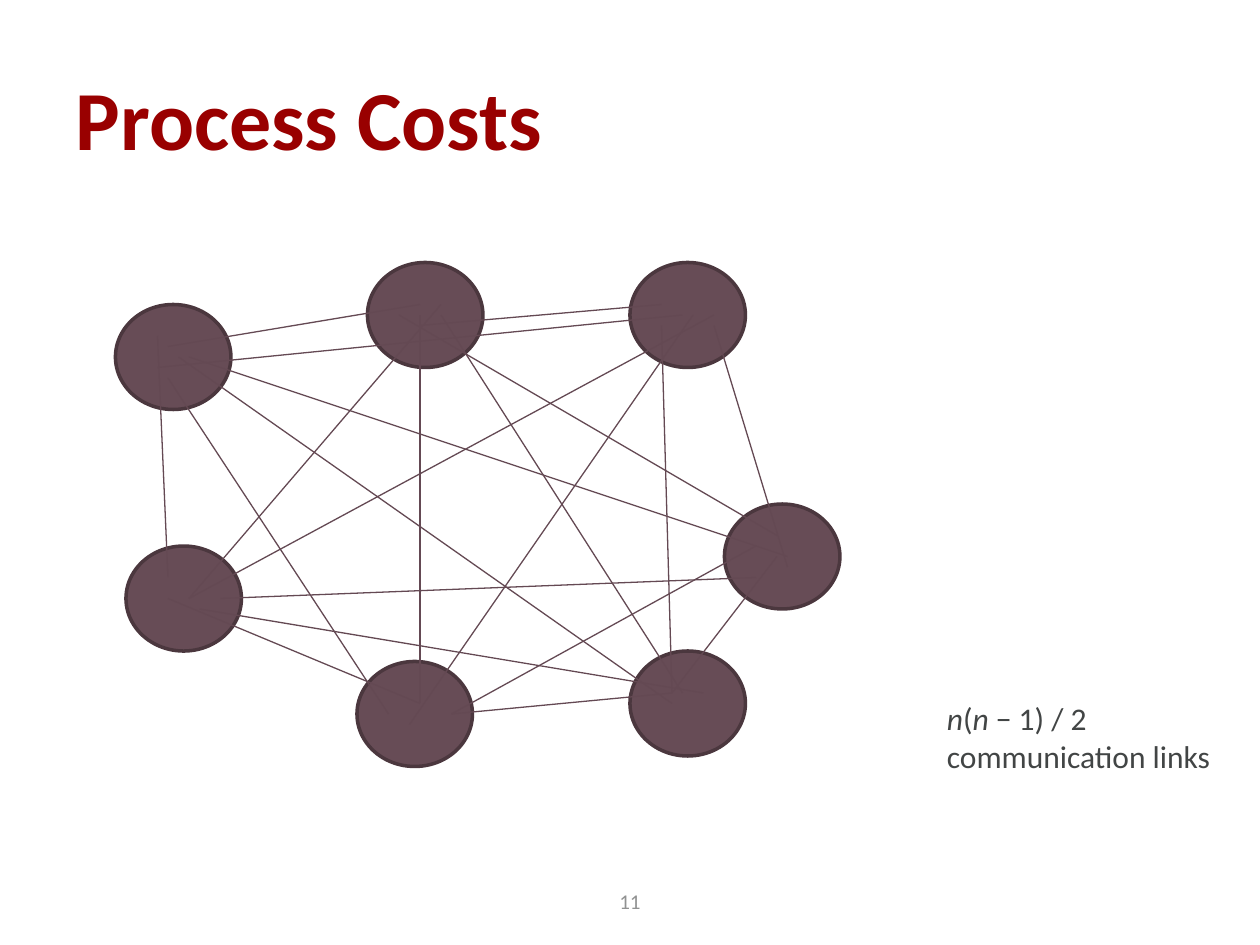
"""Build the Process Costs slide: seven people and the links between them."""
from typing import NamedTuple

from lxml.etree import SubElement
from pptx import Presentation
from pptx.dml.color import RGBColor
from pptx.enum.shapes import MSO_CONNECTOR, MSO_SHAPE
from pptx.enum.text import MSO_ANCHOR, PP_ALIGN
from pptx.oxml.ns import qn
from pptx.util import Emu, Pt

PX = 914400 // 120
FONT = "Calibri"
RED = RGBColor(0x99, 0x00, 0x00)
GREY = RGBColor(0x91, 0x92, 0x92)
DARK = RGBColor(0x42, 0x45, 0x45)
PLUM = RGBColor(0x67, 0x4C, 0x56)
PLUM_EDGE = RGBColor(0x4B, 0x37, 0x3E)
PLUM_LINK = RGBColor(0x64, 0x49, 0x53)
NODE_W, NODE_H = 110, 100


class Node(NamedTuple):
    x: int
    y: int


class Link(NamedTuple):
    x1: int
    y1: int
    x2: int
    y2: int


NODES = [
    Node(110, 290), Node(350, 250), Node(690, 480), Node(600, 250),
    Node(120, 520), Node(340, 630), Node(600, 620),
]

LINKS = [
    Link(170, 340, 640, 670), Link(420, 290, 180, 570), Link(180, 340, 750, 530),
    Link(150, 350, 650, 300), Link(160, 330, 400, 290), Link(160, 360, 370, 680),
    Link(150, 320, 160, 550), Link(400, 300, 400, 670), Link(420, 300, 650, 660),
    Link(380, 300, 740, 510), Link(400, 310, 630, 290), Link(680, 310, 750, 540),
    Link(630, 310, 640, 660), Link(660, 300, 390, 690), Link(680, 300, 180, 570),
    Link(740, 530, 640, 660), Link(720, 520, 430, 680), Link(720, 550, 210, 570),
    Link(640, 660, 430, 680), Link(670, 660, 190, 580), Link(160, 570, 400, 670),
]


def px(n: int) -> Emu:
    """Turn px into EMU."""
    return Emu(n * PX)


def write(sp, lines, *, size, color, bold=False, align=PP_ALIGN.LEFT, anchor=MSO_ANCHOR.TOP):
    """Fill a shape with lines of (text, italic) runs in one format."""
    tf = sp.text_frame
    tf.word_wrap = True
    tf.vertical_anchor = anchor
    for i, runs in enumerate(lines):
        p = tf.paragraphs[0] if i == 0 else tf.add_paragraph()
        p.alignment = align
        for text, italic in runs:
            r = p.add_run()
            r.text = text
            r.font.name = FONT
            r.font.size = Pt(size)
            r.font.bold = bold
            r.font.italic = italic
            r.font.color.rgb = color


def add_node(s, node: Node) -> None:
    """Draw one person as an ellipse."""
    sp = s.shapes.add_shape(MSO_SHAPE.OVAL, px(node.x), px(node.y), px(NODE_W), px(NODE_H))
    sp.shadow.inherit = False
    sp.fill.solid()
    sp.fill.fore_color.rgb = PLUM
    sp.line.color.rgb = PLUM_EDGE
    sp.line.width = Pt(2)


def add_link(s, link: Link) -> None:
    """Draw one communication link."""
    cx = s.shapes.add_connector(MSO_CONNECTOR.STRAIGHT, *map(px, link))
    cx.line.color.rgb = PLUM_LINK
    cx.line.width = Pt(0.75)
    SubElement(cx._element.spPr, qn("a:effectLst"))


def main() -> None:
    """Build and save the slide."""
    prs = Presentation()
    prs.slide_width, prs.slide_height = px(1200), px(900)
    s = prs.slides.add_slide(prs.slide_layouts[5])

    title = s.shapes.title
    title.left, title.top, title.width, title.height = map(px, (60, 36, 1080, 150))
    write(title, [[("Process Costs", False)]], size=48, color=RED, bold=True,
          anchor=MSO_ANCHOR.MIDDLE)

    number = s.shapes.add_textbox(*map(px, (410, 834, 380, 48)))
    write(number, [[("11", False)]], size=12, color=GREY, align=PP_ALIGN.CENTER,
          anchor=MSO_ANCHOR.MIDDLE)

    for node in NODES:
        add_node(s, node)
    for link in LINKS:
        add_link(s, link)

    formula = s.shapes.add_textbox(*map(px, (890, 660, 282, 85)))
    write(formula, [[("n", True), ("(", False), ("n", True), (" − 1) / 2", False)],
                    [("communication links", False)]], size=18, color=DARK)

    prs.save("out.pptx")


if __name__ == "__main__":
    main()
